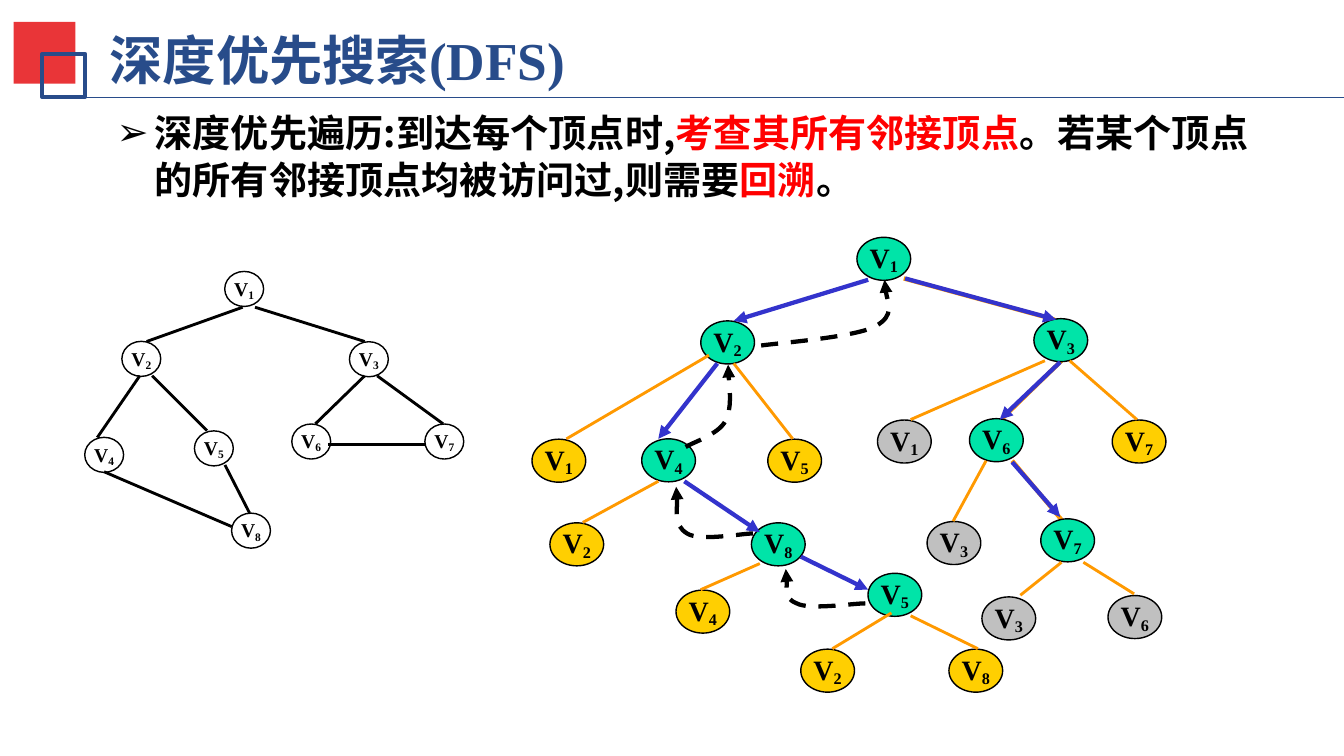
from dataclasses import dataclass

from lxml import etree
from pptx import Presentation
from pptx.dml.color import RGBColor
from pptx.enum.dml import MSO_LINE
from pptx.enum.shapes import MSO_CONNECTOR, MSO_SHAPE
from pptx.enum.text import MSO_ANCHOR, MSO_AUTO_SIZE, PP_ALIGN
from pptx.oxml.ns import qn
from pptx.util import Pt

DASH = MSO_LINE.DASH
STRAIGHT = MSO_CONNECTOR.STRAIGHT
ELLIPSE, RECTANGLE = MSO_SHAPE.OVAL, MSO_SHAPE.RECTANGLE
MIDDLE, TOP = MSO_ANCHOR.MIDDLE, MSO_ANCHOR.TOP
LEFT, CENTER = PP_ALIGN.LEFT, PP_ALIGN.CENTER
FIXED_SIZE = MSO_AUTO_SIZE.NONE


@dataclass(frozen=True)
class Theme:
    """Colours, fonts and type sizes of the slide."""
    navy: str = "284C8A"
    square: str = "E93538"
    text: str = "000000"
    emphasis: str = "FF0000"
    plain: str = "FFFFFF"
    visited: str = "00E4A8"
    skipped: str = "FFCF01"
    repeated: str = "C0C0C0"
    branch: str = "FF9900"
    advance: str = "3333CC"
    latin: str = "Times New Roman"
    chinese: str = "Noto Sans CJK SC"
    title_size: float = 28
    body_size: float = 20
    tree_size: float = 14.7
    graph_size: float = 10.3


class SlideBuilder:
    """Draws themed elements on one slide."""

    def __init__(self, slide, theme):
        self.slide, self.theme = slide, theme

    def add_run(self, paragraph, text, size, color, latin):
        """Add one bold run and return it."""
        run = paragraph.add_run()
        run.text = text
        run.font.size, run.font.bold, run.font.name = Pt(size), True, latin
        run.font.color.rgb = RGBColor.from_string(color)
        east_asian = etree.SubElement(run._r.get_or_add_rPr(), qn("a:ea"))
        east_asian.set("typeface", self.theme.chinese)
        return run

    def place_text(self, shape, box, margins, anchor):
        """Move a placeholder and return its first paragraph."""
        shape.left, shape.top, shape.width, shape.height = map(Pt, box)
        frame = shape.text_frame
        frame.auto_size, frame.word_wrap = FIXED_SIZE, True
        frame.vertical_anchor = anchor
        frame.margin_left = frame.margin_right = Pt(margins[0])
        frame.margin_top = frame.margin_bottom = Pt(margins[1])
        frame.paragraphs[0].alignment = LEFT
        return frame.paragraphs[0]

    def title(self, text, box):
        """Fill the title placeholder."""
        theme = self.theme
        paragraph = self.place_text(self.slide.shapes.title, box, (5, 3), MIDDLE)
        self.add_run(paragraph, text, theme.title_size, theme.navy, theme.latin)

    def bullet(self, parts, box):
        """Fill the body placeholder with one bullet of (text, colour) parts."""
        theme = self.theme
        body = self.slide.placeholders[1]
        paragraph = self.place_text(body, box, (7.2, 3.6), TOP)
        paragraph.space_before, paragraph.line_spacing = Pt(4), Pt(24.6)
        properties = paragraph._p.get_or_add_pPr()
        properties.set("marL", str(Pt(20)))
        properties.set("indent", str(Pt(-20)))
        bullet_color = etree.SubElement(properties, qn("a:buClr"))
        etree.SubElement(bullet_color, qn("a:srgbClr")).set("val", theme.text)
        etree.SubElement(properties, qn("a:buChar")).set("char", "➢")
        for text, color in parts:
            self.add_run(paragraph, text, theme.body_size, color, theme.chinese)

    def style_line(self, shape, color, width, arrow=False, dash=None):
        """Set an outline, with an optional dash and end arrow."""
        shape.line.color.rgb = RGBColor.from_string(color)
        shape.line.width = Pt(width)
        if dash:
            shape.line.dash_style = dash
        if arrow:
            outline = shape.element.spPr.find(qn("a:ln"))
            etree.SubElement(outline, qn("a:tailEnd")).set("type", "triangle")

    def shape(self, kind, box, fill=None, line=None, width=0.75):
        """Add a preset shape and return it."""
        shape = self.slide.shapes.add_shape(kind, *map(Pt, box))
        shape.shadow.inherit = False
        if fill:
            shape.fill.solid()
            shape.fill.fore_color.rgb = RGBColor.from_string(fill)
        else:
            shape.fill.background()
        if line:
            self.style_line(shape, line, width)
        else:
            shape.line.fill.background()
        return shape

    def vertex(self, number, center, extent, size, fill):
        """Add a vertex circle labelled V with a subscript number."""
        theme = self.theme
        (x, y), (width, height) = center, extent
        box = (x - width / 2, y - height / 2, width, height)
        shape = self.shape(ELLIPSE, box, fill, theme.text)
        frame = shape.text_frame
        frame.word_wrap, frame.vertical_anchor = False, MIDDLE
        frame.margin_left = frame.margin_right = frame.margin_bottom = 0
        frame.margin_top = Pt(2)
        paragraph = frame.paragraphs[0]
        paragraph.alignment, paragraph.line_spacing = CENTER, 0.72
        self.add_run(paragraph, "V", size, theme.text, theme.latin)
        subscript = self.add_run(paragraph, str(number), size, theme.text, theme.latin)
        subscript._r.get_or_add_rPr().set("baseline", "-16000")

    def edge(self, ends, color, width, arrow=False):
        """Add a straight edge from ends given as x1, y1, x2, y2."""
        connector = self.slide.shapes.add_connector(STRAIGHT, *map(Pt, ends))
        self.style_line(connector, color, width, arrow)
        etree.SubElement(connector.element.spPr, qn("a:effectLst"))

    def backtrack(self, points):
        """Add a dashed Bezier arrow from a start and triples of controls."""
        start, *controls = [(Pt(x), Pt(y)) for x, y in points]
        builder = self.slide.shapes.build_freeform(*start)
        builder.add_line_segments(controls, close=False)
        shape = builder.convert_to_shape()
        shape.shadow.inherit = False
        shape.fill.background()
        self.style_line(shape, self.theme.text, 2.25, arrow=True, dash=DASH)
        segments = list(shape.element.iter(qn("a:lnTo")))
        outline = segments[0].getparent()
        for first in range(0, len(segments), 3):
            curve = etree.SubElement(outline, qn("a:cubicBezTo"))
            for segment in segments[first:first + 3]:
                curve.append(segment[0])
                outline.remove(segment)


GRAPH_VERTICES = [(1, 128.2, 151.7), (2, 74.2, 188.4), (3, 193.7, 188.6), (4, 54.7, 238.8),
                  (5, 112.3, 235.4), (6, 163.4, 231.8), (7, 233.3, 231.8), (8, 131.8, 278.6)]
GRAPH_EDGES = [(127.4, 161.3, 77, 179.3), (133.9, 161.3, 191.5, 179.3),
               (73.4, 197.3, 51.1, 229.7), (79.9, 197.3, 108.7, 226.1),
               (54.7, 247.7, 121.7, 276.5), (131, 269.3, 118.1, 244.1),
               (191.5, 197.3, 165.6, 222.5), (198, 197.3, 232.6, 222.5),
               (172.1, 233.3, 223.2, 233.3)]
VISITED = [(1, 464, 135.9), (2, 382, 179.8), (4, 351, 241.7), (8, 408.6, 285.8),
           (5, 469.8, 312.3), (3, 556.9, 178.6), (6, 523.1, 231.1), (7, 560.5, 283.7)]
SKIPPED = [(1, 293.4, 241.9), (5, 417.2, 241.9), (2, 302.8, 285.8), (4, 369, 321.1),
           (2, 434.5, 352.1), (8, 512.3, 352.1), (7, 598, 231.8)]
REPEATED = [(1, 474.8, 231.8), (3, 500.8, 285.1), (3, 529.6, 324.7), (6, 595.8, 324)]
WIDE_BRANCHES = [(474.5, 146.2, 553.7, 167.8), (557.3, 189.4, 526.3, 219.6),
                 (531.4, 241.9, 557.3, 272.9)]
BRANCHES = [(372.2, 186.5, 297.4, 230.4), (385.2, 190.8, 416.2, 230.4),
            (345.6, 252.7, 306, 274.3), (398.9, 295.9, 367.9, 309.6),
            (468, 321.8, 437, 340.6), (478.1, 323.3, 513.4, 340.6),
            (548.6, 189.4, 478.1, 220.3), (561.6, 189.4, 596.9, 220.3),
            (517.7, 241.9, 500.4, 273.6), (557.3, 295.2, 535.7, 312.5),
            (568.8, 295.2, 595.4, 311.8)]
ADVANCES = [(455.8, 146.9, 385.2, 168.5), (376.6, 190.8, 345.6, 230.4),
            (359.3, 252.7, 398.9, 279.4), (420.5, 292.3, 455.8, 309.6),
            (475.2, 146.2, 554.4, 167.8), (556.6, 190.1, 524.9, 220.3),
            (531.4, 242.6, 556.6, 271.4)]
BACKTRACKS = [
    [(454.3, 316.8), (447.8, 316.8), (424.8, 320.4), (418.3, 316.8),
     (411.1, 313.9), (414, 301.7), (412.6, 298.8)],
    [(395.3, 280.1), (389.5, 280.1), (367.2, 284.4), (360.7, 280.1),
     (353.5, 275.8), (356.4, 259.2), (355, 255.6)],
    [(360, 234.7), (362.9, 232.6), (377.3, 228.2), (380.9, 221),
     (384.5, 213.8), (382.3, 196.6), (382.3, 191.5)],
    [(399.6, 181.4), (409.7, 180), (448.6, 177.1), (459.4, 171.4),
     (470.2, 165.6), (463.7, 151.2), (464.4, 146.9)]]

theme = Theme()
presentation = Presentation()
presentation.slide_width, presentation.slide_height = Pt(705.6), Pt(396.9)
slide = presentation.slides.add_slide(presentation.slide_layouts[1])
builder = SlideBuilder(slide, theme)

builder.title("深度优先搜索(DFS)", (52.6, 11.5, 527, 39.6))
builder.shape(RECTANGLE, (7.2, 11.5, 32.4, 32.4), fill=theme.square)
builder.shape(RECTANGLE, (22.1, 28.3, 22.6, 22.6), line=theme.navy, width=2)
builder.edge((27.4, 51.1, 705.6, 51.1), theme.navy, 0.75)
builder.bullet([("深度优先遍历:到达每个顶点时,".replace(":", ":").replace(",", ","), theme.text),
                ("考查其所有邻接顶点", theme.emphasis),
                ("。若某个顶点的所有邻接顶点均被访问过,则需要", theme.text),
                ("回溯", theme.emphasis), ("。", theme.text)],
               (54, 53.3, 610.6, 83.5))

for ends in WIDE_BRANCHES:
    builder.edge(ends, theme.branch, 2.25)
for vertices, extent, size, fill in [
        (GRAPH_VERTICES, (20.4, 18.4), theme.graph_size, theme.plain),
        (VISITED, (28.2, 22.6), theme.tree_size, theme.visited),
        (SKIPPED, (28.2, 22.6), theme.tree_size, theme.skipped),
        (REPEATED, (28.2, 22.6), theme.tree_size, theme.repeated)]:
    for number, *center in vertices:
        builder.vertex(number, center, extent, size, fill)
for edges, color, width, arrow in [(GRAPH_EDGES, theme.text, 1.5, False),
                                   (BRANCHES, theme.branch, 1.5, False),
                                   (ADVANCES, theme.advance, 2.25, True)]:
    for ends in edges:
        builder.edge(ends, color, width, arrow)
for points in BACKTRACKS:
    builder.backtrack(points)

presentation.save("out.pptx")
